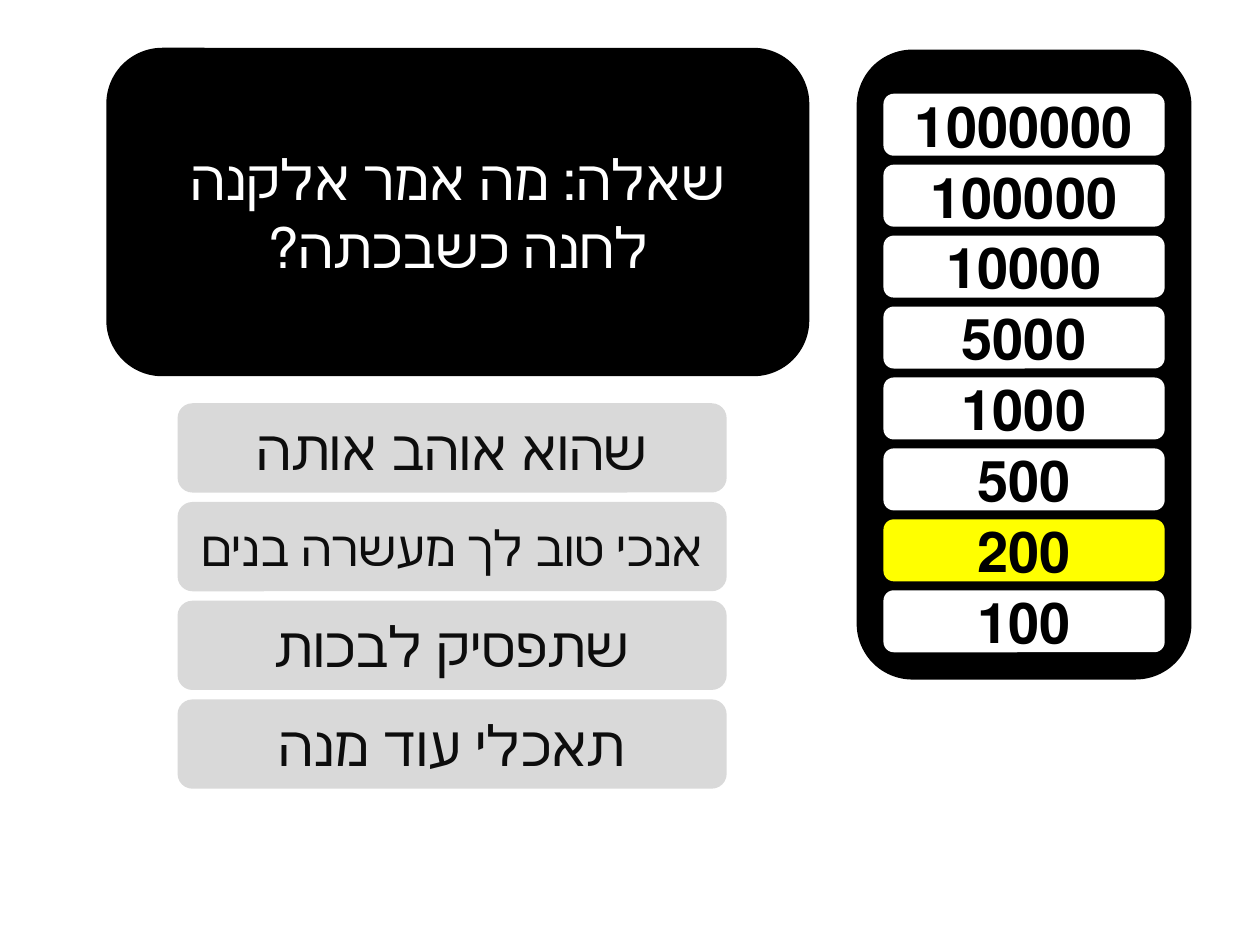
from pptx import Presentation
from pptx.dml.color import RGBColor
from pptx.enum import shapes, text
from pptx.util import Cm, Pt

PRIZES = ["1000000", "100000", "10000", "5000", "1000", "500", "200", "100"]
CURRENT_PRIZE = "200"
QUESTION = "שאלה: מה אמר אלקנה לחנה כשבכתה?"
ANSWERS = [
    ("שהוא אוהב אותה", 32),
    ("אנכי טוב לך מעשרה בנים", 28),
    ("שתפסיק לבכות", 32),
    ("תאכלי עוד מנה", 32),
]


def colour(hex_value):
    """Turn a hex string into a colour."""
    return RGBColor.from_string(hex_value)


def rounded_box(slide, left, top, width, height, fill):
    """Add a plain rounded box, measured in centimetres."""
    box = slide.shapes.add_shape(
        shapes.MSO_SHAPE.ROUNDED_RECTANGLE,
        Cm(left), Cm(top), Cm(width), Cm(height))
    box.shadow.inherit = False
    box.fill.solid()
    box.fill.fore_color.rgb = colour(fill)
    box.line.fill.background()
    return box


def write(box, wording, size, ink, bold=False):
    """Centre right-to-left wording in a box."""
    frame = box.text_frame
    frame.word_wrap = True
    frame.vertical_anchor = text.MSO_ANCHOR.MIDDLE
    frame.text = wording
    paragraph = frame.paragraphs[0]
    paragraph.alignment = text.PP_ALIGN.CENTER
    paragraph._p.get_or_add_pPr().set("rtl", "1")
    font = paragraph.runs[0].font
    font.name = "Calibri"
    font.size = Pt(size)
    font.bold = bold
    font.color.rgb = colour(ink)


def prize_ladder(slide, left, top, width, height):
    """Draw the panel of prizes with the current one lit."""
    rounded_box(slide, left, top, width, height, "000000")
    side, head, pitch, step_height = 0.54, 0.89, 1.43, 1.25
    for row, prize in enumerate(PRIZES):
        fill = "FFFF00" if prize == CURRENT_PRIZE else "FFFFFF"
        step = rounded_box(slide, left + side, top + head + row * pitch,
                           width - 2 * side, step_height, fill)
        write(step, prize, 32, "000000", bold=True)


def question_card(slide, left, top, width, height):
    """Draw the question on its black card."""
    card = rounded_box(slide, left, top, width, height, "000000")
    card.line.color.rgb = colour("000000")
    card.line.width = Pt(2)
    write(card, QUESTION, 32, "FFFFFF")


def answer_list(slide, left, top, width, height):
    """Stack the answers evenly in the given box."""
    gap = 0.19
    answer_height = (height - gap * (len(ANSWERS) - 1)) / len(ANSWERS)
    for row, (wording, size) in enumerate(ANSWERS):
        answer = rounded_box(slide, left, top + row * (answer_height + gap),
                             width, answer_height, "D9D9D9")
        write(answer, wording, size, "0D0D0D")


def main():
    """Build the quiz slide and save it."""
    deck = Presentation()
    deck.slide_width, deck.slide_height = Cm(25.4), Cm(19.05)
    slide = deck.slides.add_slide(deck.slide_layouts[6])
    prize_ladder(slide, 17.27, 1, 6.75, 12.7)
    question_card(slide, 2.18, 1, 14.1, 6.55)
    answer_list(slide, 3.58, 8.13, 11.07, 7.77)
    deck.save("out.pptx")


if __name__ == "__main__":
    main()
